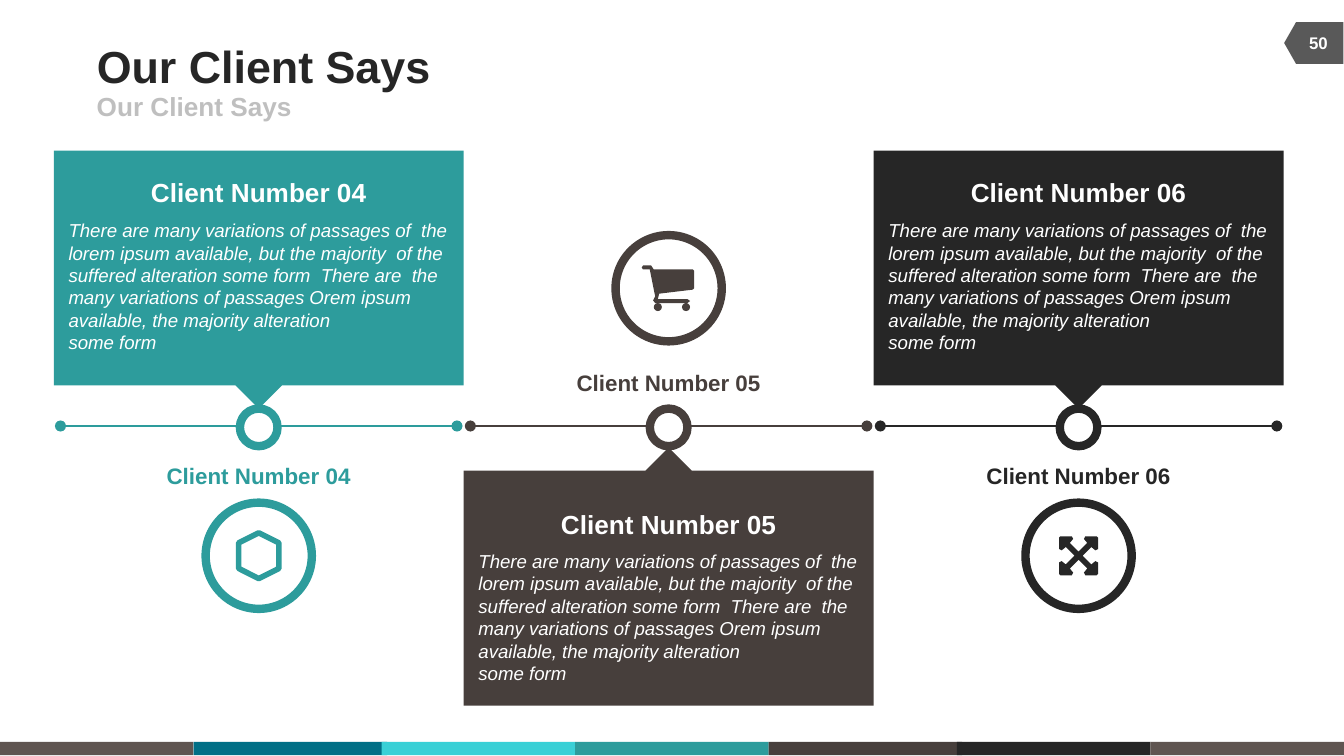
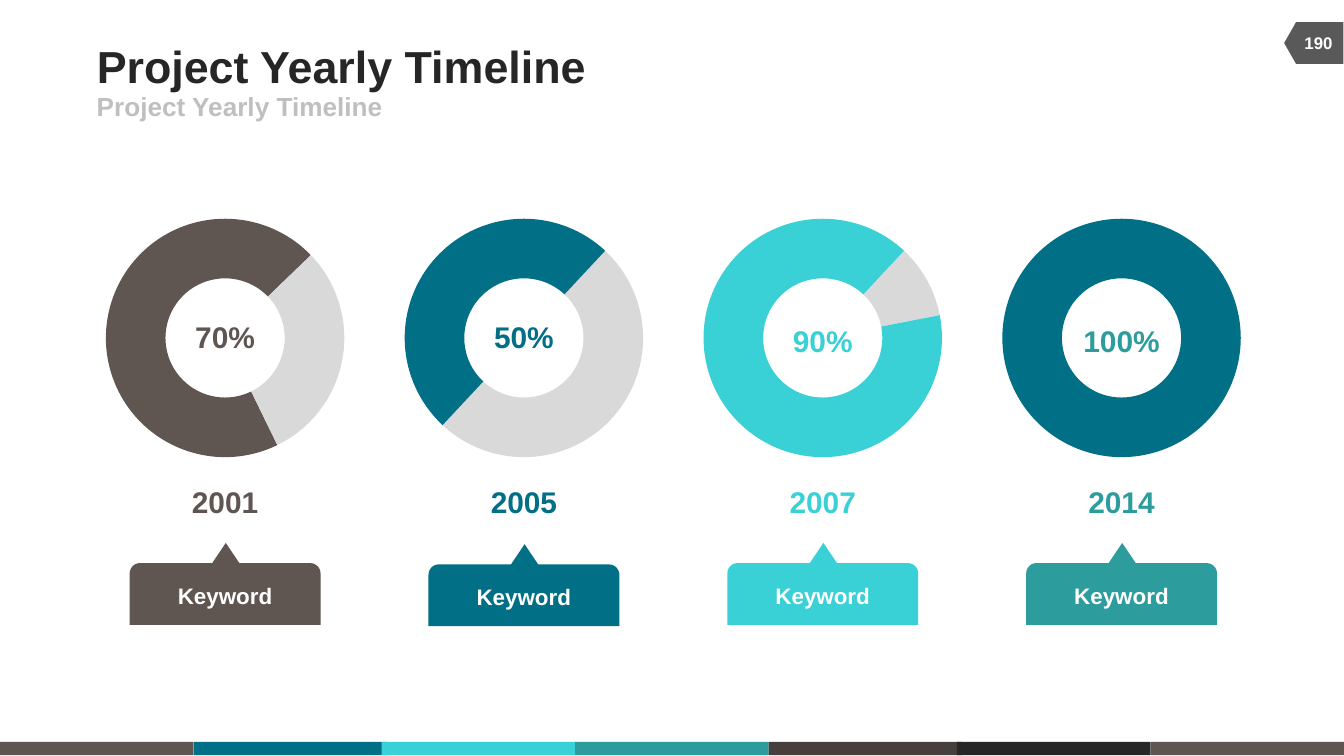
from dataclasses import dataclass

from lxml import etree
from pptx import Presentation
from pptx.chart.data import CategoryChartData
from pptx.dml.color import RGBColor
from pptx.enum.chart import XL_CHART_TYPE
from pptx.enum.shapes import MSO_CONNECTOR, MSO_SHAPE
from pptx.enum.text import MSO_ANCHOR, MSO_AUTO_SIZE, PP_ALIGN
from pptx.oxml.ns import qn
from pptx.util import Inches, Pt

RECT = MSO_SHAPE.RECTANGLE
OVAL = MSO_SHAPE.OVAL
TAG = MSO_SHAPE.FLOWCHART_OFFPAGE_CONNECTOR
DOWN = MSO_SHAPE.DOWN_ARROW_CALLOUT
UP = MSO_SHAPE.UP_ARROW_CALLOUT
HEX = MSO_SHAPE.HEXAGON
PEAK = MSO_SHAPE.ISOSCELES_TRIANGLE
TAB = MSO_SHAPE.ROUND_2_SAME_RECTANGLE
LINE = MSO_CONNECTOR.STRAIGHT
DONUT = XL_CHART_TYPE.DOUGHNUT
LEFT, CENTER = PP_ALIGN.LEFT, PP_ALIGN.CENTER
TOP, MIDDLE = MSO_ANCHOR.TOP, MSO_ANCHOR.MIDDLE
FIXED = MSO_AUTO_SIZE.NONE


@dataclass(frozen=True)
class Theme:
    font: str = "Arial"
    white: str = "FFFFFF"
    black: str = "262626"
    brown: str = "473F3C"
    taupe: str = "5F5551"
    blue: str = "016F86"
    aqua: str = "39D0D6"
    teal: str = "2D9C9C"
    gray: str = "595959"
    pale: str = "BFBFBF"
    rest: str = "D9D9D9"
    ink: str = "000000"
    title: int = 24
    chart: int = 18
    figure: int = 16
    head: int = 14
    label: int = 12
    body: int = 10
    page: int = 9


T = Theme()

QUOTE = (
    "There are many variations of passages of  the lorem ipsum available, "
    "but the majority  of the suffered alteration some form  There are  the "
    "many variations of passages Orem ipsum available, the majority alteration \n"
    "some form"
)
BASKET = [
    (10, 0), (70, 0), (90, 30), (380, 30), (390, 40), (390, 170), (380, 180),
    (130, 210), (120, 250), (340, 250), (360, 265), (340, 280), (100, 280),
    (85, 260), (100, 230), (60, 30), (10, 30), (0, 15),
]
ARM = [
    (30, 0), (95, 65), (125, 40), (145, 50), (145, 135),
    (135, 145), (50, 145), (40, 125), (65, 95),
]


def rgb(color):
    return RGBColor.from_string(color)


def place(*box):
    return [Inches(n) for n in box]


def write(shape, text, size, color, align=CENTER, anchor=MIDDLE, italic=False):
    frame = shape.text_frame
    frame.word_wrap = True
    frame.auto_size = FIXED
    frame.vertical_anchor = anchor
    frame.margin_left = frame.margin_right = 0
    frame.margin_top = frame.margin_bottom = 0
    para = frame.paragraphs[0]
    para.text = text
    para.alignment = align
    font = para.font
    font.name, font.size = T.font, Pt(size)
    font.bold, font.italic = not italic, italic
    font.color.rgb = rgb(color)


def label(slide, box, *args, **style):
    write(slide.shapes.add_textbox(*place(*box)), *args, **style)


def paint(shape, fill=None, line=None, width=4.5):
    shape.shadow.inherit = False
    if fill:
        shape.fill.solid()
        shape.fill.fore_color.rgb = rgb(fill)
    else:
        shape.fill.background()
    if line:
        shape.line.color.rgb = rgb(line)
        shape.line.width = Pt(width)
    else:
        shape.line.fill.background()
    return shape


def draw(slide, kind, box, fill=None, line=None, width=4.5):
    return paint(slide.shapes.add_shape(kind, *place(*box)), fill, line, width)


def trace(slide, left, top, points, color):
    pen = slide.shapes.build_freeform(*points[0], scale=Inches(1) / 1000)
    pen.add_line_segments(points[1:], close=True)
    paint(pen.convert_to_shape(*place(left, top)), color)


def rail(slide, left, right, y, color):
    line = slide.shapes.add_connector(LINE, *place(right, y, left, y))
    line.line.color.rgb = rgb(color)
    line.line.width = Pt(1.5)
    props = line._element.spPr
    stroke = props.find(qn("a:ln"))
    for end in ("a:headEnd", "a:tailEnd"):
        etree.SubElement(stroke, qn(end), type="oval")
    etree.SubElement(props, qn("a:effectLst"))


def band(slide, top):
    lefts = (0, 1.44, 2.84, 4.28, 5.72, 7.12, 8.56)
    tones = (T.taupe, T.blue, T.aqua, T.teal, T.brown, T.black, T.taupe)
    for left, tone in zip(lefts, tones):
        draw(slide, RECT, (left, top, 1.44, 0.1), tone)


def base(deck, title, page):
    slide = deck.slides.add_slide(deck.slide_layouts[5])
    band(slide, 5.52)
    draw(slide, TAG, (9.62, 0.1, 0.31, 0.44), T.gray).rotation = 90
    head = slide.shapes.title
    head.left, head.top, head.width, head.height = place(0.72, 0.29, 6.17, 0.39)
    write(head, title, T.title, T.black, LEFT)
    label(slide, (0.72, 0.68, 4.5, 0.22), title, T.head, T.pale, LEFT)
    label(slide, (9.6, 0.17, 0.42, 0.3), page, T.page, T.white)
    return slide


def cube(slide, x, y, color):
    hexa = draw(slide, HEX, (x - 0.17, y - 0.15, 0.34, 0.3), None, color, 3)
    hexa.rotation = 90


def cart(slide, x, y, color):
    left, top = x - 0.2, y - 0.17
    trace(slide, left, top, BASKET, color)
    for wheel in (0.09, 0.3):
        draw(slide, OVAL, (left + wheel, top + 0.28, 0.06, 0.06), color)


def arrows(slide, x, y, color):
    points, arm = [], ARM
    for _ in range(4):
        points += arm
        arm = [(-b, a) for a, b in arm]
    trace(slide, x, y, points, color)


def client(slide, left, axis, name, color, icon, above):
    if above:
        kind, card, head, body, tag, ring = DOWN, -2.05, -1.86, -1.54, 0.27, 0.57
    else:
        kind, card, head, body, tag, ring = UP, 0.16, 0.61, 0.92, -0.42, -1.42
    wide = 3.05
    mid = left + wide / 2
    rail(slide, left + 0.05, left + wide - 0.05, axis, color)
    label(slide, (mid - 0.69, axis + tag, 1.38, 0.2), name,
          T.label, color, anchor=TOP)
    box = draw(slide, kind, (left, axis + card, wide, 1.92), color)
    for i, value in enumerate((0.26, 0.09, 0.09, 0.91)):
        box.adjustments[i] = value
    label(slide, (left + 0.11, axis + body, 2.82, 1.06), QUOTE,
          T.body, T.white, LEFT, TOP, italic=True)
    label(slide, (mid - 0.81, axis + head, 1.62, 0.24), name,
          T.head, T.white, anchor=TOP)
    draw(slide, OVAL, (mid - 0.14, axis - 0.13, 0.28, 0.28), T.white, color)
    size = 0.79
    draw(slide, OVAL, (mid - size / 2, axis + ring, size, size), None, color)
    icon(slide, mid, axis + ring + size / 2, color)


def donut(slide, box, values, tones, start):
    data = CategoryChartData()
    data.categories = ["1", "2"]
    data.add_series("Series 1", values)
    chart = slide.shapes.add_chart(DONUT, *place(*box), data).chart
    chart.has_legend = chart.has_title = False
    chart.font.name, chart.font.size = T.font, Pt(T.chart)
    chart.font.color.rgb = rgb(T.ink)
    plot = chart.plots[0]
    plot.vary_by_categories = False
    for i, tone in enumerate(tones):
        form = plot.series[0].points[i].format
        form.fill.solid()
        form.fill.fore_color.rgb = rgb(tone)
        form.line.fill.background()
    root = chart._chartSpace
    for name, value in (("c:firstSliceAng", start), ("c:holeSize", 70)):
        next(root.iter(qn(name))).set("val", str(value))


def year(slide, left, top, name, color, share, ring, drop, nudge):
    wide = 2.05
    mid = left + wide / 2
    donut(slide, (left, top, wide, 2.17), *ring)
    label(slide, (mid - 0.35, top + drop, 0.7, 0.37), share, T.figure, color)
    label(slide, (mid - 0.25, top + 2.17, 0.5, 0.27), name,
          T.figure, color, anchor=TOP)
    foot = top + 2.61 + nudge
    draw(slide, PEAK, (mid - 0.15, foot, 0.31, 0.23), color)
    tab = draw(slide, TAB, (mid - 0.71, foot + 0.15, 1.42, 0.46), color)
    write(tab, "Keyword", T.label, T.white)


def clients(deck):
    slide = base(deck, "Our Client Says", "50")
    rows = (
        ("Client Number 04", T.teal, cube, True),
        ("Client Number 05", T.brown, cart, False),
        ("Client Number 06", T.black, arrows, True),
    )
    for i, row in enumerate(rows):
        client(slide, 0.4 + 3.05 * i, 3.17, *row)


def years(deck):
    slide = base(deck, "Project Yearly Timeline", "190")
    rows = (
        ("2001", T.taupe, "70%", ((70, 30), (T.taupe, T.rest), 154), 0.89, 0),
        ("2005", T.blue, "50%", ((50, 50), (T.rest, T.blue), 43), 0.89, 0.01),
        ("2007", T.aqua, "90%", ((10, 90), (T.rest, T.aqua), 43), 0.92, 0),
        ("2014", T.teal, "100%", ((0, 100), (T.taupe, T.blue), 43), 0.92, 0),
    )
    first, last = 0.65, 7.32
    step = (last - first) / (len(rows) - 1)
    for i, row in enumerate(rows):
        year(slide, first + step * i, 1.43, *row)


def main():
    deck = Presentation()
    deck.slide_width = Inches(10)
    deck.slide_height = deck.slide_width * 9 // 16
    clients(deck)
    years(deck)
    deck.save("out.pptx")


if __name__ == "__main__":
    main()
